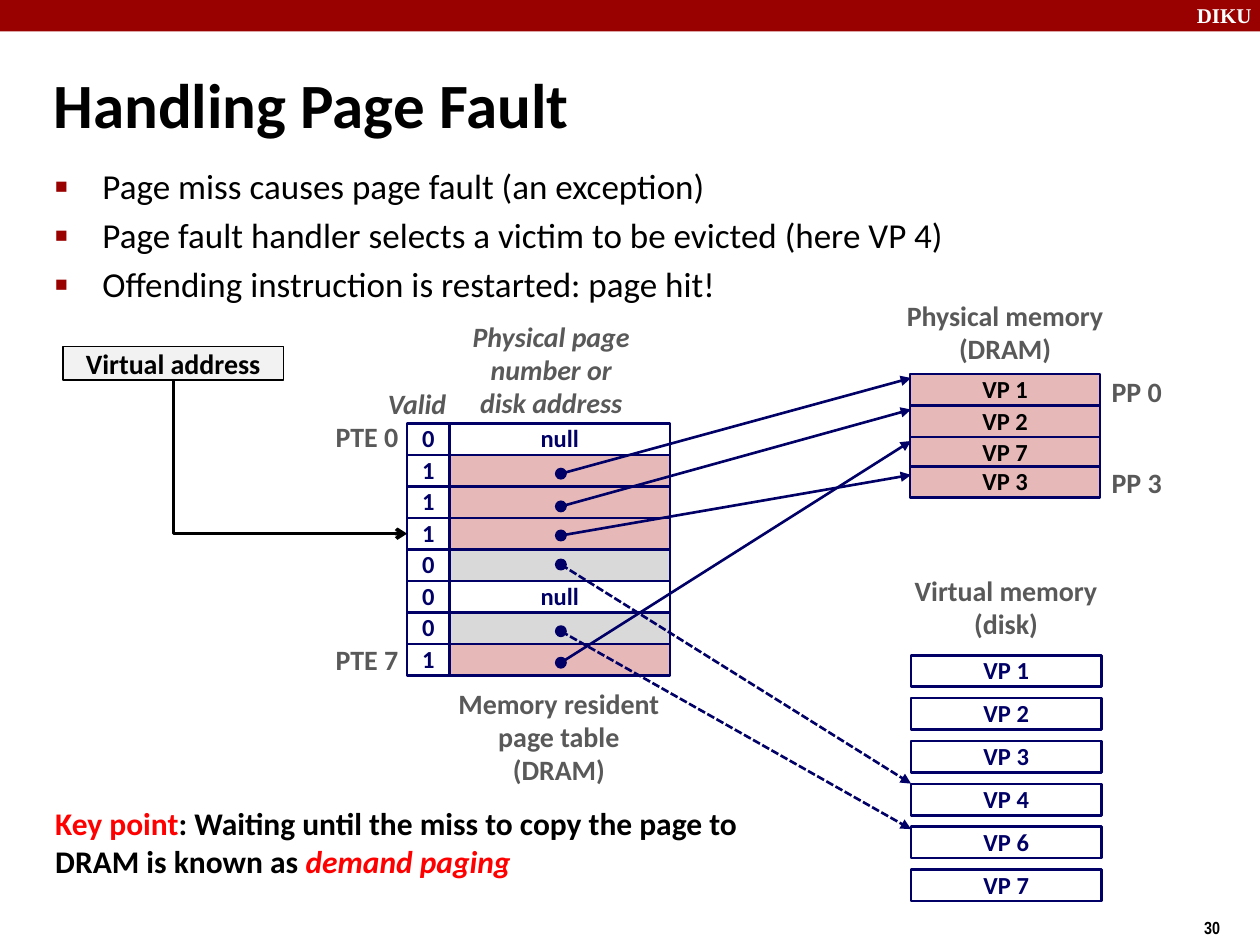
from pptx import Presentation
from pptx.util import Pt
from pptx.dml.color import RGBColor
from pptx.enum.dml import MSO_LINE as DASH
from pptx.enum.shapes import MSO_CONNECTOR as LINK, MSO_SHAPE as SHAPE
from pptx.enum.text import MSO_ANCHOR as ANCHOR, PP_ALIGN as ALIGN
from pptx.oxml.ns import qn
from lxml.etree import SubElement as add_tag

HEX = {"red": "990000", "navy": "000066", "pink": "E6B9B8", "gray": "D9D9D9",
       "pale": "F2F2F2", "text": "595959", "black": "000000",
       "white": "FFFFFF", "key": "FF0000"}
ROW = 18    # height of a memory or table row
LABEL = {"size": 16, "color": "text", "bold": True}
CELL = {"size": 14, "color": "navy", "bold": True}


def rgb(name):
    return RGBColor.from_string(HEX[name])


def style(run, form):
    for key, val in {"name": "Calibri", **form}.items():
        if key == "color":
            run.font.color.rgb = rgb(val)
        else:
            setattr(run.font, key, Pt(val) if key == "size" else val)


def write(shape, lines, form, align=ALIGN.CENTER, anchor=ANCHOR.MIDDLE,
          wrap=False, space=0.98):
    """Fill a shape with lines; a line is text or a list of (text, format)."""
    frame = shape.text_frame
    frame.word_wrap, frame.vertical_anchor = wrap, anchor
    # Free the sides that the text does not lean on, so each line fits
    if not wrap and align != ALIGN.LEFT:
        frame.margin_left = 0
        if align == ALIGN.CENTER:
            frame.margin_right = 0
    for i, line in enumerate(lines):
        para = frame.paragraphs[0] if i == 0 else frame.add_paragraph()
        para.alignment, para.line_spacing = align, space
        for text, more in [(line, {})] if isinstance(line, str) else line:
            run = para.add_run()
            run.text = text
            style(run, {**form, **more})
    return frame


def label(slide, box, lines, form=LABEL, **opts):
    return write(slide.shapes.add_textbox(*map(Pt, box)), lines, form, **opts)


def block(slide, box, fill, line="navy", width=1.5, kind=SHAPE.RECTANGLE):
    shape = slide.shapes.add_shape(kind, *map(Pt, box))
    shape.shadow.inherit = False
    if fill:
        shape.fill.solid()
        shape.fill.fore_color.rgb = rgb(fill)
    else:
        shape.fill.background()
    if line:
        shape.line.color.rgb, shape.line.width = rgb(line), Pt(width)
    else:
        shape.line.fill.background()
    return shape


def link(slide, kind, ends, color="navy", width=1.5, head="triangle"):
    line = slide.shapes.add_connector(kind, *map(Pt, ends))
    line.line.color.rgb, line.line.width = rgb(color), Pt(width)
    add_tag(line.line._get_or_add_ln(), qn("a:tailEnd"), type=head)
    add_tag(line._element.spPr, qn("a:effectLst"))
    return line


def banner(slide, box):
    block(slide, box, "red", None)
    label(slide, (676.8, -2, 48, 21.6), ["DIKU"],
          {"name": "Times New Roman", "size": 12, "color": "white", "bold": True},
          align=ALIGN.LEFT, anchor=ANCHOR.TOP, space=1)


def number(slide, box):
    label(slide, box, ["30"],
          {"name": "Arial Narrow", "size": 10, "color": "black", "bold": True},
          align=ALIGN.LEFT, anchor=ANCHOR.TOP, space=1)


def heading(slide, box):
    label(slide, box, ["Handling Page Fault"],
          {"size": 36, "color": "black", "bold": True},
          align=ALIGN.LEFT, wrap=True, space=1)


def bullets(slide, box):
    frame = label(slide, box, [
        "Page miss causes page fault (an exception)",
        "Page fault handler selects a victim to be evicted (here VP 4)",
        "Offending instruction is restarted: page hit!",
    ], {"size": 20, "color": "black"}, align=ALIGN.LEFT, anchor=ANCHOR.TOP,
        wrap=True, space=1)
    for i, para in enumerate(frame.paragraphs):
        props = para._p.get_or_add_pPr()
        props.set("marL", str(Pt(27)))
        props.set("indent", str(-Pt(27)))
        add_tag(add_tag(props, qn("a:buClr")), qn("a:srgbClr"), val=HEX["red"])
        add_tag(props, qn("a:buSzPct"), val="60000")
        add_tag(props, qn("a:buFont"), typeface="Arial")
        add_tag(props, qn("a:buChar"), char="■")
        if i:
            para.space_before = Pt(4)


def table(slide, box):
    """Draw the page table and return its valid-bit cells."""
    x, y, w, bit = *box, 24.3
    rows = [("0", "white"), ("1", "pink"), ("1", "pink"), ("1", "pink"),
            ("0", "gray"), ("0", "white"), ("0", "gray"), ("1", "pink")]
    cells = []
    for i, (valid, fill) in enumerate(rows):
        top = y + i * ROW
        cell = block(slide, (x, top, bit, ROW), None)
        write(cell, [valid], CELL)
        cells.append(cell)
        entry = block(slide, (x + bit, top, w - bit, ROW), fill)
        if fill == "white":
            write(entry, ["null"], CELL)
    # Headings and row labels
    slant = {**LABEL, "italic": True}
    label(slide, (x - 18, y - 23.8, 54, 26.6), ["Valid"], slant,
          align=ALIGN.LEFT, anchor=ANCHOR.TOP, wrap=True)
    label(slide, (x + 30.2, y - 62, 104.4, 64),
          ["Physical page", "number or", "disk address"], slant)
    label(slide, (x + 22.3, y + 147.6, 128.9, 64),
          ["Memory resident", "page table", "(DRAM)"], anchor=ANCHOR.TOP)
    for name, dy in (("PTE 0", -5), ("PTE 7", 122.4)):
        label(slide, (x - 47.6, y + dy, 49.7, 26.6), [name], align=ALIGN.RIGHT)
    return cells


def memory(slide, box, title, pages, tops, fill, color, gap):
    x, y, w = box
    label(slide, (x - 9, y - gap, w + 18, 45.4), title, anchor=ANCHOR.TOP)
    for page, top in zip(pages, tops):
        write(block(slide, (x, y + top, w, ROW), fill),
              [f"VP {page}"], {**CELL, "color": color})


def arrows(slide, x, end):
    """Lead from dots at x to pages at end: (dot y, page y, dotted)."""
    for y, goal, dotted in [(270.7, 216, False), (289.4, 234, False),
                            (306, 271.4, False), (322.6, 447.8, True),
                            (360.7, 473.8, True), (378.7, 252, False)]:
        line = link(slide, LINK.STRAIGHT, (x, y, end, goal))
        if dotted:
            line.line.dash_style = DASH.SQUARE_DOT
        block(slide, (x - 2.9, y - 2.9, 5.8, 5.8), "navy", width=1,
              kind=SHAPE.OVAL)


def address(slide, box, cell):
    start = block(slide, box, "pale", "black", 1)
    write(start, ["Virtual address"], {**LABEL, "color": "black"},
          wrap=True, space=1)
    line = link(slide, LINK.ELBOW, (0, 0, 0, 0), "black", 2, "arrow")
    line.begin_connect(start, 2)
    line.end_connect(cell, 1)
    # One bend, down then right: a turned and flipped two-part connector
    wide, high = line.width, line.height
    line.left += (wide - high) // 2
    line.top += (high - wide) // 2
    line.width, line.height = high, wide
    props = line._element.spPr
    props.find(qn("a:prstGeom")).set("prst", "bentConnector2")
    frame = props.find(qn("a:xfrm"))
    frame.set("rot", "16200000")
    frame.set("flipH", "1")


def point(slide, box):
    label(slide, box, [[
        ("Key point", {"color": "key"}),
        (": Waiting until the miss to copy the page to DRAM is known as ", {}),
        ("demand paging", {"color": "key", "italic": True})]],
        {"size": 18, "color": "black", "bold": True},
        align=ALIGN.LEFT, anchor=ANCHOR.TOP, wrap=True, space=1)


def main():
    deck = Presentation()
    deck.slide_width, deck.slide_height = Pt(720), Pt(540)
    slide = deck.slides.add_slide(deck.slide_layouts[6])
    banner(slide, (0, 0, 720, 18))
    number(slide, (681, 520.6, 54, 19.4))
    heading(slide, (23.5, 28, 652, 62))
    bullets(slide, (24.5, 90.7, 654, 90))
    cells = table(slide, (232.6, 242, 150.3))
    # Physical and virtual memory
    memory(slide, (520, 213.8, 108.7), ["Physical memory", "(DRAM)"],
           (1, 2, 7, 3), (0, 18, 36, 52.6), "pink", "black", 46)
    for name, y in (("PP 0", 211), ("PP 3", 262.8)):
        label(slide, (628, y, 43.2, 26.6), [name])
    memory(slide, (520.6, 374.4, 108.7), ["Virtual memory", "(disk)"],
           (1, 2, 3, 4, 6, 7), [i * 24.5 for i in range(6)],
           "white", "navy", 49)
    arrows(slide, 320.5, 520.6)
    address(slide, (36, 198, 126, 19), cells[3])
    point(slide, (24.5, 455.8, 455.8, 50.4))
    deck.save("out.pptx")


if __name__ == "__main__":
    main()
